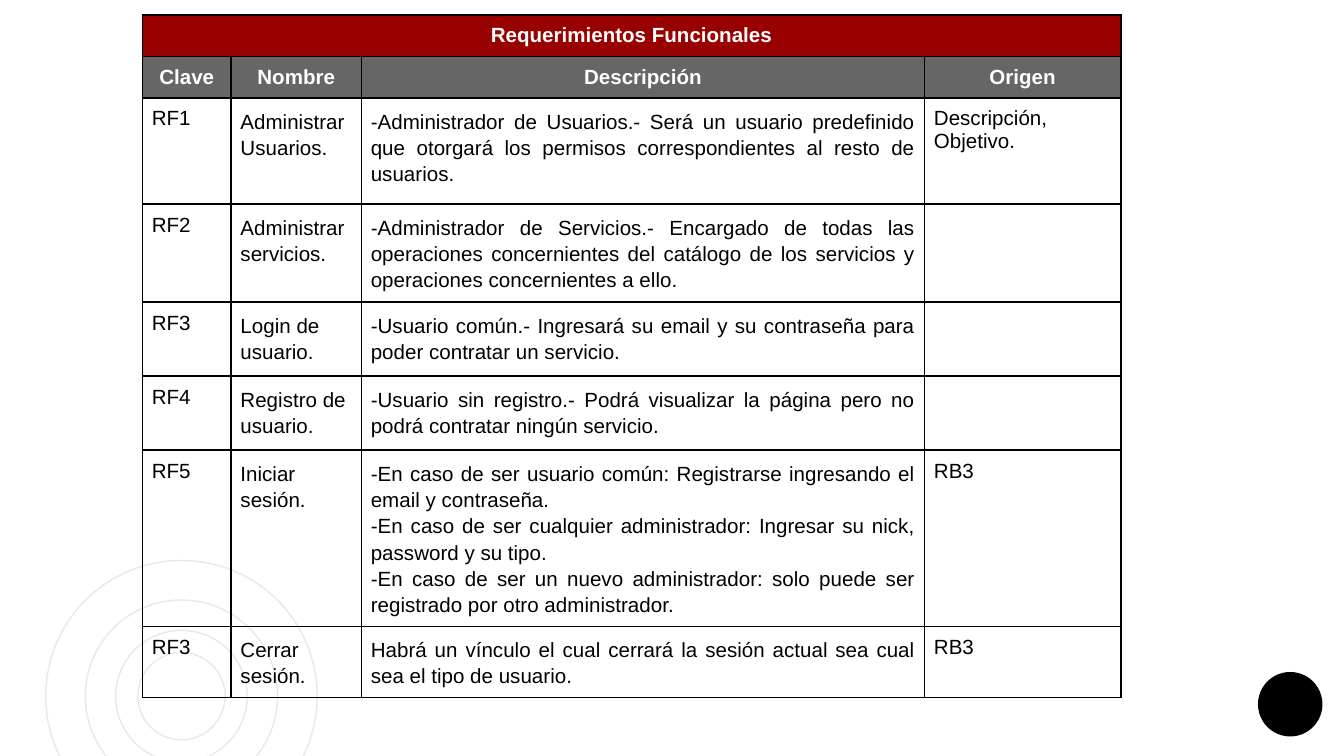
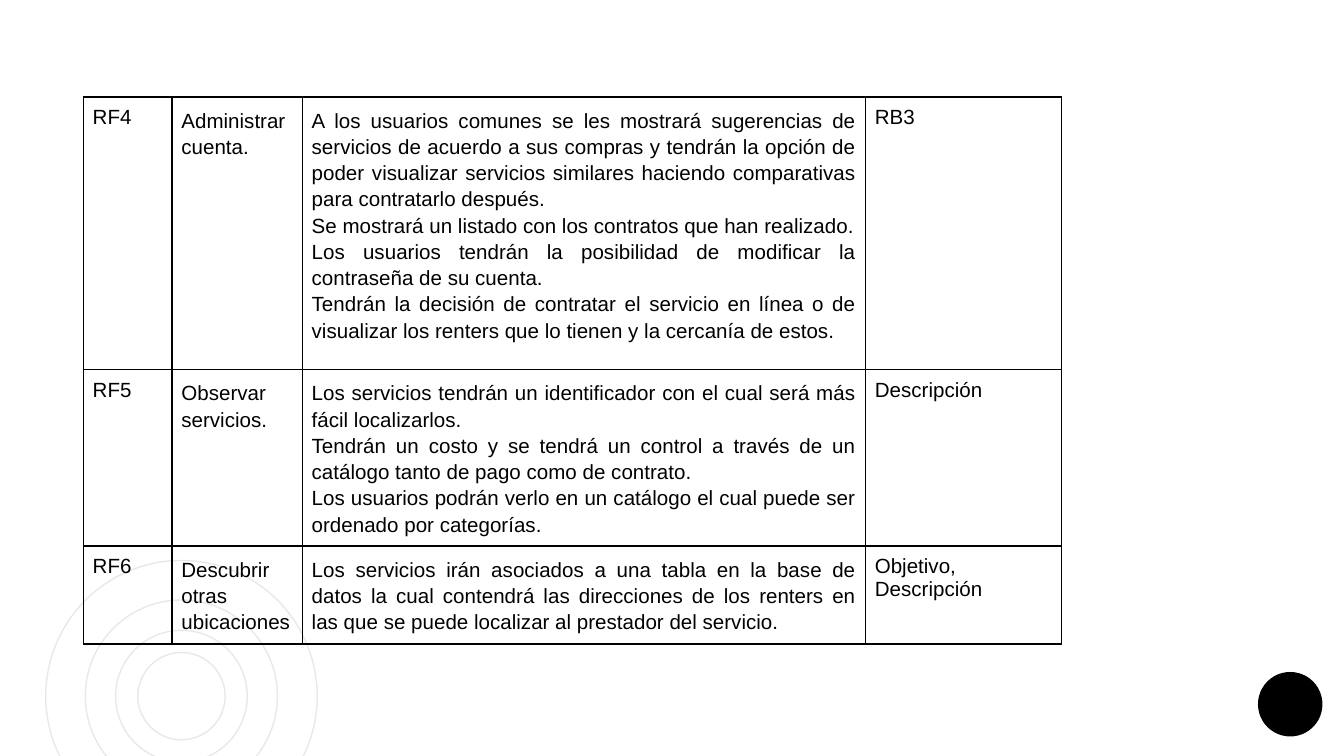
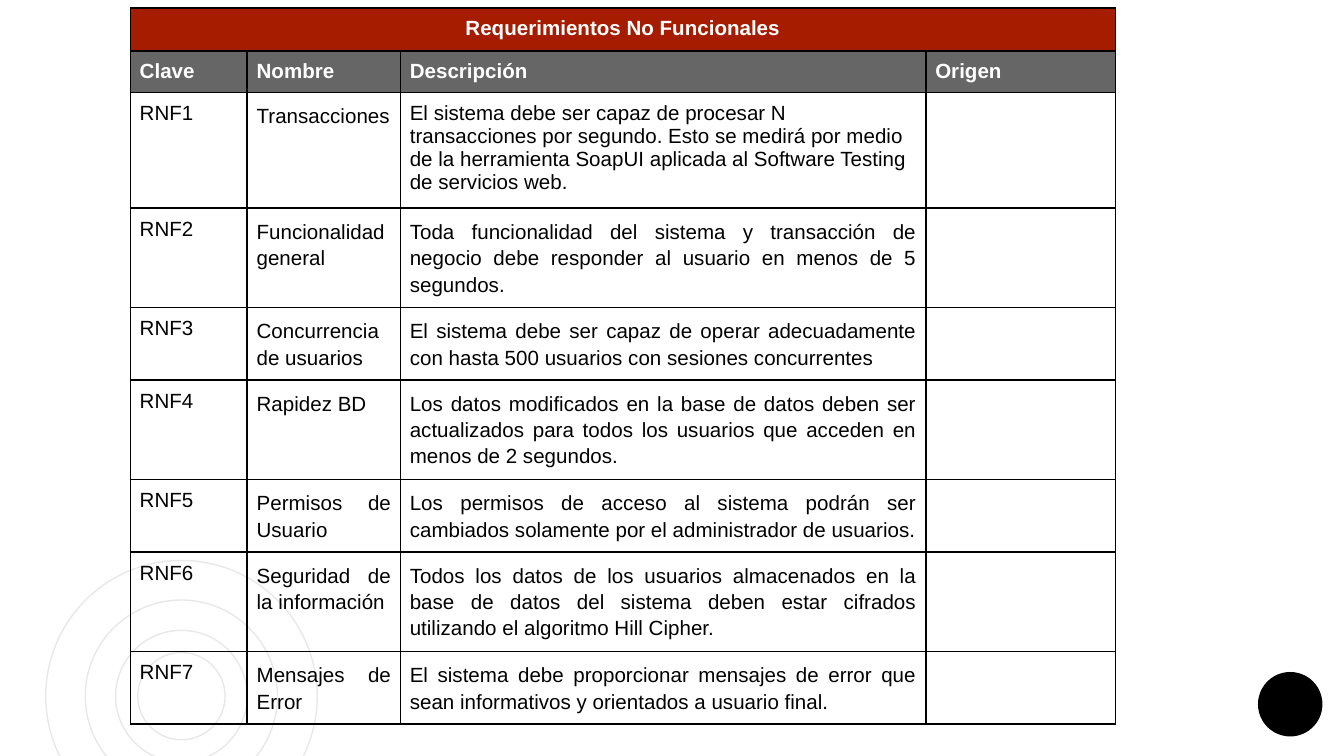
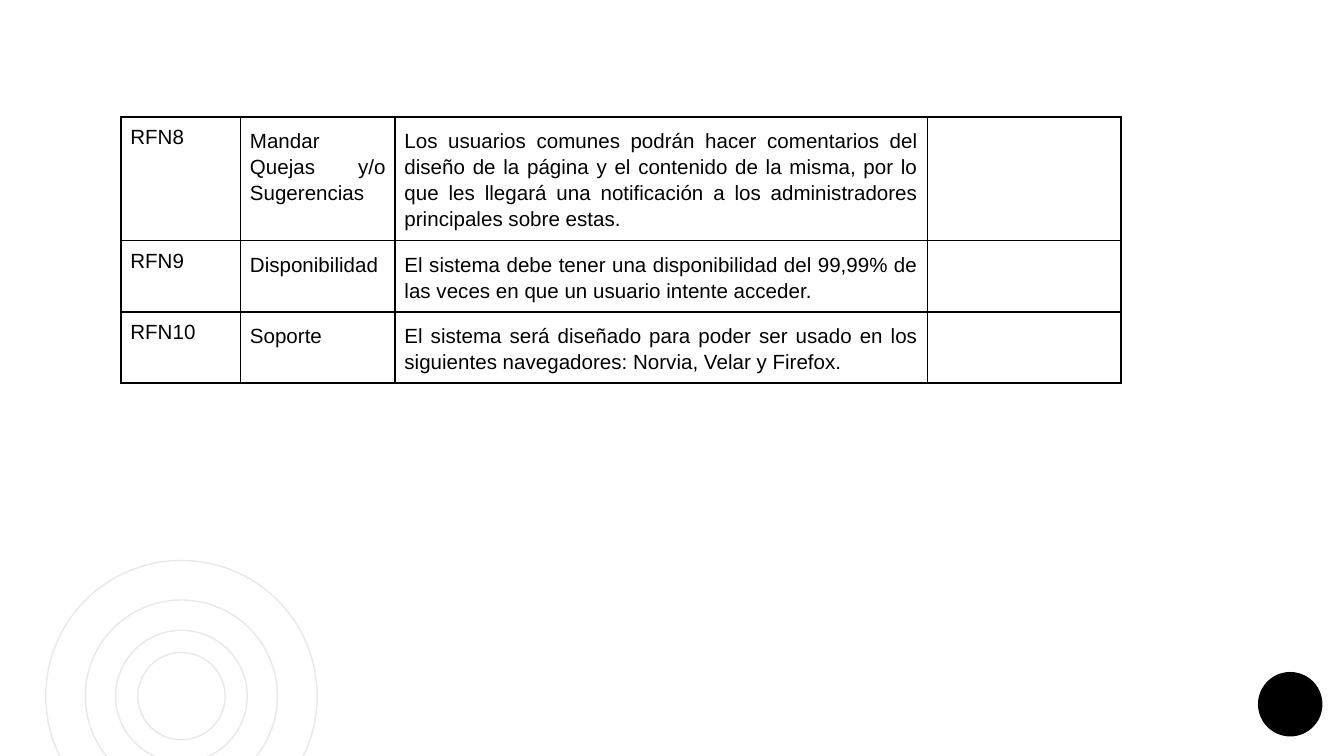
from lxml import etree
from pptx import Presentation
from pptx.dml.color import RGBColor
from pptx.enum.shapes import MSO_SHAPE
from pptx.enum.text import MSO_ANCHOR, PP_ALIGN
from pptx.oxml.ns import qn
from pptx.util import Inches, Pt

OVAL = MSO_SHAPE.OVAL
TOP = MSO_ANCHOR.TOP
LEFT, MID, FULL = PP_ALIGN.LEFT, PP_ALIGN.CENTER, PP_ALIGN.JUSTIFY

COLORS = {
    "ink": "000000",
    "paper": "FFFFFF",
    "ring": "E8E8E8",
    "head": "666666",
    "wine": "990000",
    "brick": "A61C00",
}
FONT = "Arial"
SIZE = 11
INSET = 0.07
SPACING = 1.15
WIDTH = 10
HEIGHT = WIDTH * 9 / 16
HEADS = ("Clave", "Nombre", "Descripción", "Origen")

# Rows: key, name, description paragraphs, source
BASIC = [
    ("RF1", "Administrar Usuarios.",
     ["-Administrador de Usuarios.- Será un usuario predefinido que otorgará "
      "los permisos correspondientes al resto de usuarios."],
     "Descripción, Objetivo."),
    ("RF2", "Administrar servicios.",
     ["-Administrador de Servicios.- Encargado de todas las operaciones "
      "concernientes del catálogo de los servicios y operaciones "
      "concernientes a ello."], ""),
    ("RF3", "Login de usuario.",
     ["-Usuario común.- Ingresará su email y su contraseña para poder "
      "contratar un servicio."], ""),
    ("RF4", "Registro de usuario.",
     ["-Usuario sin registro.- Podrá visualizar la página pero no podrá "
      "contratar ningún servicio."], ""),
    ("RF5", "Iniciar sesión.",
     ["-En caso de ser usuario común: Registrarse ingresando el email y "
      "contraseña.",
      "-En caso de ser cualquier administrador: Ingresar su nick, password y "
      "su tipo.",
      "-En caso de ser un nuevo administrador: solo puede ser registrado por "
      "otro administrador."], "RB3"),
    ("RF3", "Cerrar sesión.",
     ["Habrá un vínculo el cual cerrará la sesión actual sea cual sea el tipo "
      "de usuario."], "RB3"),
]
MORE = [
    ("RF4", "Administrar cuenta.",
     ["A los usuarios comunes se les mostrará sugerencias de servicios de "
      "acuerdo a sus compras y tendrán la opción de poder visualizar "
      "servicios similares haciendo comparativas para contratarlo después.",
      "Se mostrará un listado con los contratos que han realizado.",
      "Los usuarios tendrán la posibilidad de modificar la contraseña de su "
      "cuenta.",
      "Tendrán la decisión de contratar el servicio en línea o de visualizar "
      "los renters que lo tienen y la cercanía de estos."], "RB3"),
    ("RF5", "Observar servicios.",
     ["Los servicios tendrán un identificador con el cual será más fácil "
      "localizarlos.",
      "Tendrán un costo y se tendrá un control a través de un catálogo tanto "
      "de pago como de contrato.",
      "Los usuarios podrán verlo en un catálogo el cual puede ser ordenado "
      "por categorías."], "Descripción"),
    ("RF6", "Descubrir otras ubicaciones",
     ["Los servicios irán asociados a una tabla en la base de datos la cual "
      "contendrá las direcciones de los renters en las que se puede localizar "
      "al prestador del servicio."], "Objetivo, Descripción"),
]
QUALITY = [
    ("RNF1", "Transacciones",
     ["El sistema debe ser capaz de procesar N transacciones por segundo. "
      "Esto se medirá por medio de la herramienta SoapUI aplicada al Software "
      "Testing de servicios web."], ""),
    ("RNF2", "Funcionalidad general",
     ["Toda funcionalidad del sistema y transacción de negocio debe responder "
      "al usuario en menos de 5 segundos."], ""),
    ("RNF3", "Concurrencia de usuarios",
     ["El sistema debe ser capaz de operar adecuadamente con hasta 500 "
      "usuarios con sesiones concurrentes"], ""),
    ("RNF4", "Rapidez BD",
     ["Los datos modificados en la base de datos deben ser actualizados para "
      "todos los usuarios que acceden en menos de 2 segundos."], ""),
    ("RNF5", "Permisos de Usuario",
     ["Los permisos de acceso al sistema podrán ser cambiados solamente por "
      "el administrador de usuarios."], ""),
    ("RNF6", "Seguridad de la información",
     ["Todos los datos de los usuarios almacenados en la base de datos del "
      "sistema deben estar cifrados utilizando el algoritmo Hill Cipher."],
     ""),
    ("RNF7", "Mensajes de Error",
     ["El sistema debe proporcionar mensajes de error que sean informativos y "
      "orientados a usuario final."], ""),
]
SUPPORT = [
    ("RFN8", "Mandar Quejas y/o Sugerencias",
     ["Los usuarios comunes podrán hacer comentarios del diseño de la página "
      "y el contenido de la misma, por lo que les llegará una notificación a "
      "los administradores principales sobre estas."], ""),
    ("RFN9", "Disponibilidad",
     ["El sistema debe tener una disponibilidad del 99,99% de las veces en "
      "que un usuario intente acceder."], ""),
    ("RFN10", "Soporte",
     ["El sistema será diseñado para poder ser usado en los siguientes "
      "navegadores: Norvia, Velar y Firefox."], ""),
]


def color(name):
    return RGBColor.from_string(COLORS[name])


def oval(slide, x, y, size, fill=None, line=None):
    """Draw a circle around the point x, y."""
    shape = slide.shapes.add_shape(
        OVAL, Inches(x - size / 2), Inches(y - size / 2),
        Inches(size), Inches(size))
    shape.shadow.inherit = False
    if fill:
        shape.fill.solid()
        shape.fill.fore_color.rgb = color(fill)
    else:
        shape.fill.background()
    if line:
        shape.line.color.rgb = color(line)
        shape.line.width = Pt(0.75)
    else:
        shape.line.fill.background()


def decor(slide):
    """Rings at the lower left and the dot at the lower right."""
    for size in (2.02, 0.98, 1.43, 0.65):
        oval(slide, 1.35, 5.18, size, line="ring")
    oval(slide, 9.6, 5.24, 0.48, fill="ink")


def write(frame, text, ink="ink", bold=False, align=LEFT, spacing=1.0):
    """Fill a text frame with one paragraph per item."""
    lines = [text] if isinstance(text, str) else text
    for i, line in enumerate(lines):
        para = frame.paragraphs[0] if i == 0 else frame.add_paragraph()
        para.alignment = align
        para.line_spacing = spacing
        font = para.font
        if line:
            run = para.add_run()
            run.text = line
            font = run.font
        font.name = FONT
        font.size = Pt(SIZE)
        font.bold = bold
        font.color.rgb = color(ink)


def border(cell):
    """Black one-point lines on all four sides."""
    props = cell._tc.get_or_add_tcPr()
    for side in ("a:lnL", "a:lnR", "a:lnT", "a:lnB"):
        line = etree.SubElement(props, qn(side), w=str(Pt(1)))
        fill = etree.SubElement(line, qn("a:solidFill"))
        etree.SubElement(fill, qn("a:srgbClr"), val=COLORS["ink"])


def dress(cell, fill=None):
    border(cell)
    cell.margin_left = cell.margin_right = Inches(INSET)
    cell.margin_top = cell.margin_bottom = Inches(INSET)
    cell.vertical_anchor = TOP
    if fill:
        cell.fill.solid()
        cell.fill.fore_color.rgb = color(fill)
    else:
        cell.fill.background()


def banner(table, title, fill, align):
    """Merged title row and the row of column heads."""
    for cell in table.rows[0].cells:
        dress(cell, fill)
    table.cell(0, 0).merge(table.cell(0, len(HEADS) - 1))
    write(table.cell(0, 0).text_frame, title, ink="paper", bold=True,
          align=MID)
    for cell, head in zip(table.rows[1].cells, HEADS):
        dress(cell, "head")
        write(cell.text_frame, head, ink="paper", bold=True, align=align)


def grid(slide, x, y, widths, heights, data, title=None, fill=None,
         align=LEFT, ragged=0, plain=0):
    """Table of requirements.

    ragged: how many leading rows have a left-aligned name.
    plain: how many leading rows have a plain description.
    """
    table = slide.shapes.add_table(
        len(heights), len(widths), Inches(x), Inches(y),
        Inches(sum(widths)), Inches(sum(heights))).table
    table.first_row = table.horz_banding = False
    for col, width in zip(table.columns, widths):
        col.width = Inches(width)
    for row, height in zip(table.rows, heights):
        row.height = Inches(height)
    if title:
        banner(table, title, fill, align)

    full = {"align": FULL, "spacing": SPACING}
    start = len(heights) - len(data)
    for i, texts in enumerate(data):
        name = {"spacing": SPACING} if i < ragged else full
        about = {} if i < plain else full
        for j, style in enumerate(({}, name, about, {})):
            cell = table.cell(start + i, j)
            dress(cell)
            write(cell.text_frame, texts[j], **style)


def main():
    deck = Presentation()
    deck.slide_width, deck.slide_height = Inches(WIDTH), Inches(HEIGHT)
    blank = deck.slide_layouts[6]
    slides = [deck.slides.add_slide(blank) for _ in range(4)]
    for slide in slides:
        decor(slide)

    # Functional requirements
    basic = (0.66, 0.97, 4.19, 1.46)
    grid(slides[0], 1.06, 0.11, basic,
         (0.31, 0.31, 0.79, 0.73, 0.55, 0.55, 1.31, 0.53), BASIC,
         title="Requerimientos Funcionales", fill="wine", align=MID, ragged=4)
    grid(slides[1], 0.62, 0.72, basic, (2.03, 1.31, 0.73), MORE)

    # Non-functional requirements
    grid(slides[2], 0.97, 0.06, (0.87, 1.14, 3.91, 1.41),
         (0.32, 0.31, 0.86) + (0.74, 0.54) * 3, QUALITY,
         title="Requerimientos No Funcionales", fill="brick",
         ragged=1, plain=1)
    grid(slides[3], 0.9, 0.87, (0.89, 1.15, 3.96, 1.44),
         (0.92, 0.53, 0.53), SUPPORT)

    deck.save("out.pptx")


if __name__ == "__main__":
    main()
